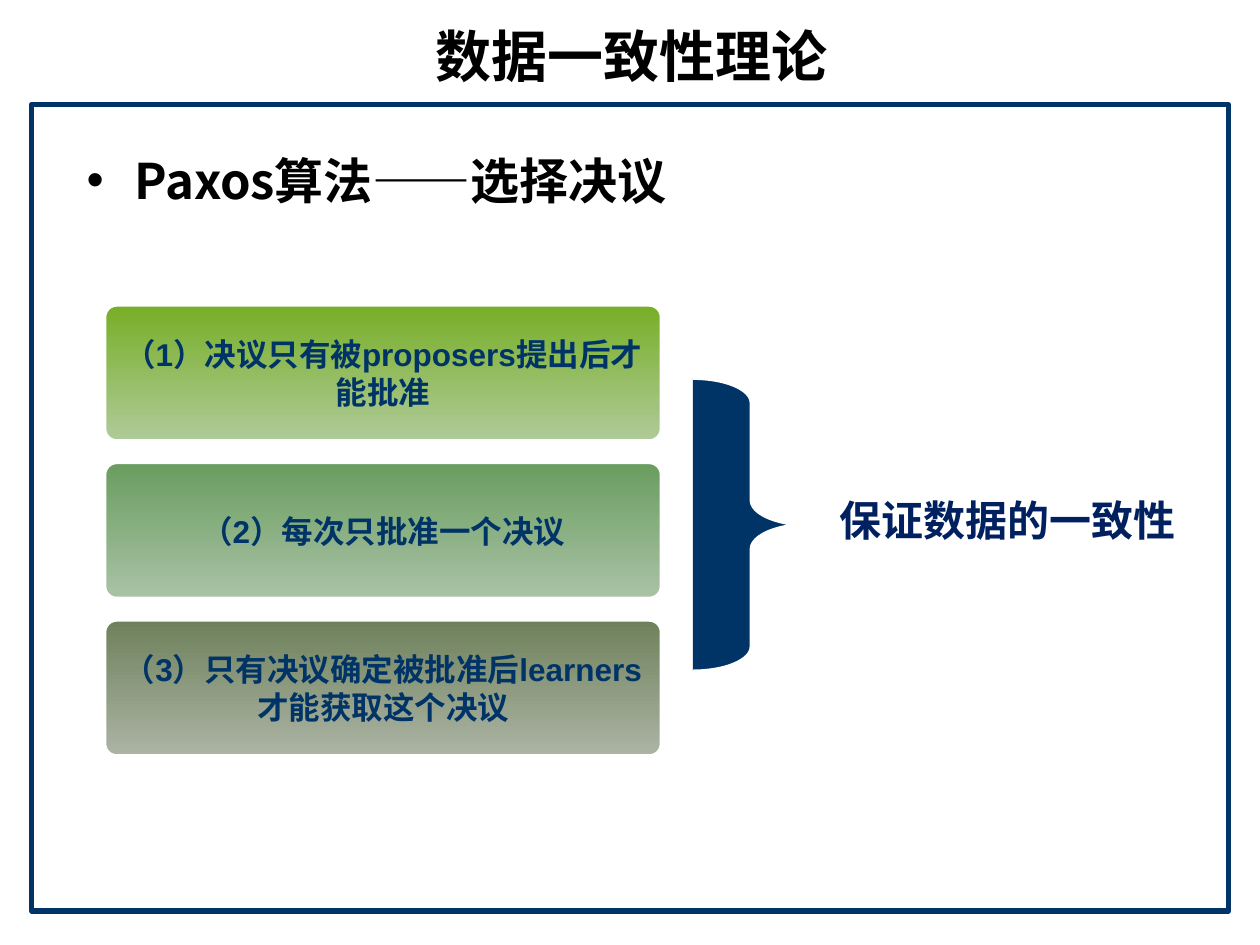
import pptx
import pptx.util
import pptx.dml.color
import pptx.enum.shapes
import pptx.enum.text
import pptx.oxml.ns
import lxml.etree

Inches = pptx.util.Inches
SHAPES = pptx.enum.shapes.MSO_SHAPE
ALIGN = pptx.enum.text.PP_ALIGN
ANCHOR = pptx.enum.text.MSO_ANCHOR

COLORS = {
    "white": "FFFFFF", "black": "000000", "navy": "003366", "result": "002060",
}
CJK_FONT = "Noto Sans CJK SC"
TITLE_FORMAT = {"size": pptx.util.Pt(32), "name": "DejaVu Sans", "bold": True}
TOPIC_FORMAT = {"size": pptx.util.Pt(28), "name": CJK_FONT, "bold": True}
RULE_FORMAT = {"size": pptx.util.Pt(18), "name": "Arial", "bold": True}
RESULT_FORMAT = {"size": pptx.util.Pt(24), "name": CJK_FONT, "bold": True}

RULES = [
    (["（1）决议只有被proposers提出后才", "能批准"], "77AE26", "AFCB99"),
    (["（2）每次只批准一个决议"], "699D5F", "AAC2A6"),
    (["（3）只有决议确定被批准后learners", "才能获取这个决议"], "6E815B", "ACB4A5"),
]


def rgb(value):
    return pptx.dml.color.RGBColor.from_string(value)


def write(frame, lines, text_format, color, align=ALIGN.CENTER,
          anchor=ANCHOR.MIDDLE, wrap=True):
    frame.word_wrap = wrap
    frame.vertical_anchor = anchor
    for index, line in enumerate(lines):
        paragraph = frame.paragraphs[0] if index == 0 else frame.add_paragraph()
        paragraph.alignment = align
        run = paragraph.add_run()
        run.text = line
        for attribute, value in text_format.items():
            setattr(run.font, attribute, value)
        run.font.color.rgb = rgb(color)
        east_asian = lxml.etree.SubElement(
            run.font._element, pptx.oxml.ns.qn("a:ea"))
        east_asian.set("typeface", CJK_FONT)


def add_panel(slide, preset, box, adjustments=(), fill=None, line=None, width=0):
    panel = slide.shapes.add_shape(preset, *box)
    panel.shadow.inherit = False
    for index, value in enumerate(adjustments):
        panel.adjustments[index] = value
    if fill:
        panel.fill.solid()
        panel.fill.fore_color.rgb = rgb(fill)
    else:
        panel.fill.background()
    if line:
        panel.line.color.rgb = rgb(line)
        panel.line.width = pptx.util.Pt(width)
    else:
        panel.line.fill.background()
    return panel


def add_title(slide, left, top, width, height):
    title = slide.shapes.add_textbox(left, top, width, height)
    write(title.text_frame, ["数据一致性理论"], TITLE_FORMAT, COLORS["black"])


def add_topic(slide, left, top, width, height):
    topic = slide.shapes.add_textbox(left, top, width, height)
    write(topic.text_frame, ["Paxos算法——选择决议"], TOPIC_FORMAT,
          COLORS["black"], ALIGN.LEFT, ANCHOR.TOP)
    paragraph = topic.text_frame.paragraphs[0]
    paragraph.line_spacing = 1.5
    properties = paragraph._p.get_or_add_pPr()
    properties.set("marL", str(Inches(0.38)))
    properties.set("indent", str(Inches(-0.38)))
    bullet_font = lxml.etree.SubElement(properties, pptx.oxml.ns.qn("a:buFont"))
    bullet_font.set("typeface", "Arial")
    bullet = lxml.etree.SubElement(properties, pptx.oxml.ns.qn("a:buChar"))
    bullet.set("char", "•")


def add_rules(slide, left, top, width, height):
    gap = Inches(0.17)
    card_height = (height - gap * (len(RULES) - 1)) // len(RULES)
    for index, (lines, start, end) in enumerate(RULES):
        card_top = top + index * (card_height + gap)
        rule = add_panel(slide, SHAPES.ROUNDED_RECTANGLE,
                         (left, card_top, width, card_height),
                         [0.09], line=COLORS["white"], width=2)
        rule.fill.gradient()
        rule.fill.gradient_angle = 270
        for stop, color in zip(rule.fill.gradient_stops, (start, end)):
            stop.color.rgb = rgb(color)
        write(rule.text_frame, lines, RULE_FORMAT, COLORS["navy"], wrap=False)


def add_conclusion(slide, left, top, width, height):
    brace_width = Inches(0.93)
    result_height = Inches(1.42)
    result_top = top + (height - result_height) // 2 - Inches(0.04)
    result = add_panel(
        slide, SHAPES.ROUNDED_RECTANGLE,
        (left + brace_width, result_top, width - brace_width, result_height), [0.09])
    write(result.text_frame, ["保证数据的一致性"], RESULT_FORMAT, COLORS["result"])
    add_panel(slide, SHAPES.RIGHT_BRACE, (left, top, brace_width, height),
              [0.21, 0.5], COLORS["navy"], COLORS["white"], 2.25)


def main():
    deck = pptx.Presentation()
    deck.slide_width, deck.slide_height = Inches(10), Inches(7.5)
    slide = deck.slides.add_slide(deck.slide_layouts[6])
    add_panel(slide, SHAPES.RECTANGLE,
              (Inches(0.25), Inches(0.83), Inches(9.5), Inches(6.4)),
              fill=COLORS["white"], line=COLORS["navy"], width=3)
    add_topic(slide, Inches(0.59), Inches(0.91), Inches(9), Inches(5.99))
    add_title(slide, Inches(0.27), Inches(0.13), Inches(9.48), Inches(0.62))
    add_rules(slide, Inches(0.83), Inches(2.42), Inches(4.42), Inches(3.58))
    add_conclusion(slide, Inches(5.5), Inches(3), Inches(4.06), Inches(2.33))
    deck.save("out.pptx")


if __name__ == "__main__":
    main()
